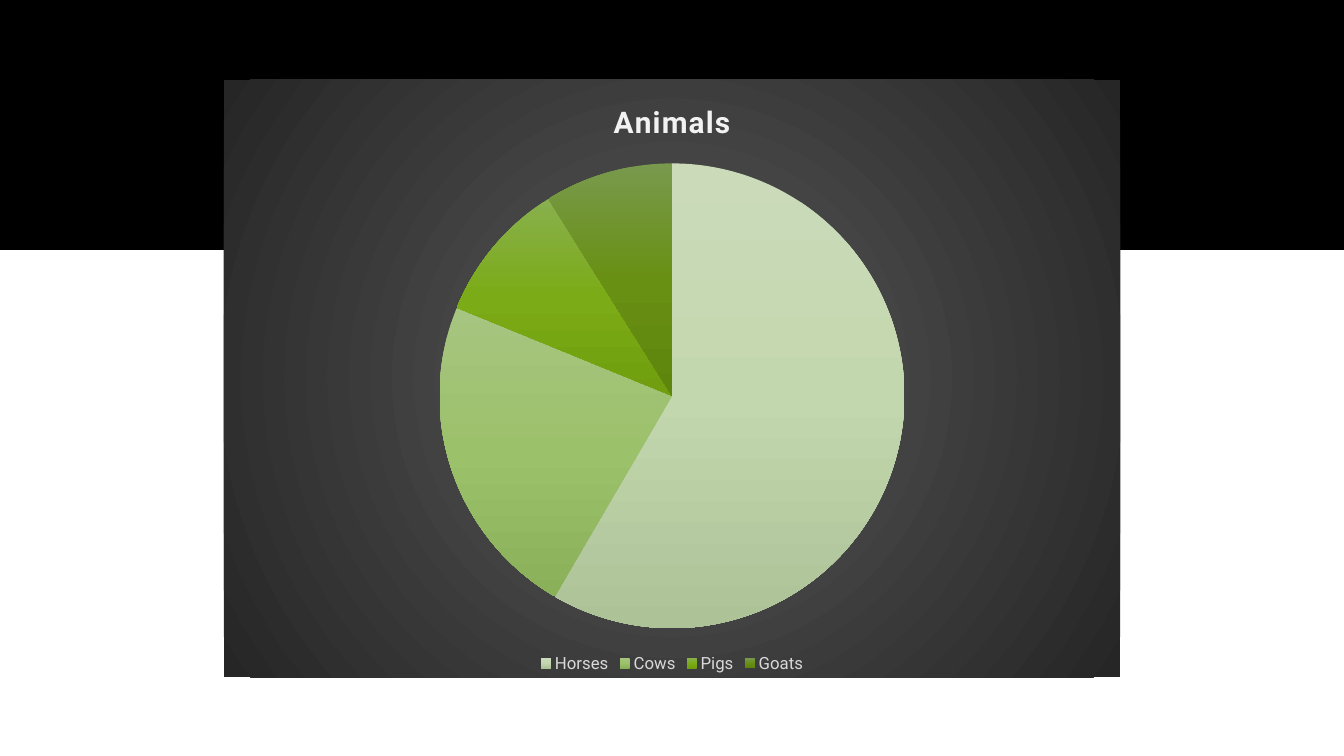
"""Build a slide with a pie chart of animals over a black band."""
from dataclasses import dataclass

from lxml import etree
from pptx import Presentation
from pptx.chart.chart import Chart
from pptx.chart.data import CategoryChartData
from pptx.dml.color import RGBColor
from pptx.enum.chart import XL_CHART_TYPE, XL_LEGEND_POSITION
from pptx.enum.shapes import MSO_SHAPE
from pptx.oxml import parse_xml
from pptx.oxml.ns import nsdecls, qn
from pptx.slide import Slide
from pptx.text.text import Font
from pptx.util import Inches, Pt

PIE = XL_CHART_TYPE.PIE
BOTTOM = XL_LEGEND_POSITION.BOTTOM
RECTANGLE = MSO_SHAPE.RECTANGLE
LINEAR_DOWN = '<a:lin ang="5400000" scaled="0"/>'
FROM_CENTRE = ('<a:path path="circle"><a:fillToRect l="50000" t="50000" '
               'r="50000" b="50000"/></a:path>')


@dataclass(frozen=True)
class Theme:
    """Colours and type sizes of the slide."""
    font: str = "Roboto"
    band: str = "000000"
    title: str = "F2F2F2"
    legend: str = "D9D9D9"
    panel: tuple[str, ...] = ("595959", "262626")
    base_size: float = 10
    title_size: float = 21.3
    legend_size: float = 12
    title_spacing: int = 100


@dataclass(frozen=True)
class Slice:
    """One pie slice with its gradient colours from top to bottom."""
    name: str
    value: int
    colours: tuple[str, ...]


THEME = Theme()
SERIES_NAME = "Animals"
SLICES = (
    Slice("Horses", 59, ("CBDBBA", "C3D7AE", "AEC298")),
    Slice("Cows", 23, ("A6C580", "9CC16B", "8BB05A")),
    Slice("Pigs", 10, ("89B04E", "7BAB16", "709E0E")),
    Slice("Goats", 9, ("79994D", "689013", "5E850C")),
)


def gradient(colours: tuple[str, ...], direction: str) -> etree._Element:
    """Return a gradient fill with evenly spaced stops."""
    step = 100000 // (len(colours) - 1)
    stops = "".join(
        f'<a:gs pos="{index * step}"><a:srgbClr val="{colour}"/></a:gs>'
        for index, colour in enumerate(colours))
    return parse_xml(f'<a:gradFill {nsdecls("a")} rotWithShape="1">'
                     f'<a:gsLst>{stops}</a:gsLst>{direction}</a:gradFill>')


def style_font(font: Font, size: float, colour: str, bold: bool = False) -> None:
    """Set typeface, size, colour and weight."""
    font.name = THEME.font
    font.size = Pt(size)
    font.color.rgb = RGBColor.from_string(colour)
    font.bold = bold


def add_band(slide: Slide) -> None:
    """Draw the black band across the top."""
    band = slide.shapes.add_shape(RECTANGLE, 0, 0, Inches(13.33), Inches(2.48))
    band.shadow.inherit = False
    band.fill.solid()
    band.fill.fore_color.rgb = RGBColor.from_string(THEME.band)
    band.line.fill.background()


def add_title(chart: Chart) -> None:
    """Write the chart title with wide letter spacing."""
    chart.has_title = True
    chart.chart_title.include_in_layout = False
    span = chart.chart_title.text_frame.paragraphs[0].add_run()
    span.text = SERIES_NAME
    style_font(span.font, THEME.title_size, THEME.title, bold=True)
    for properties in chart.element.iter(qn("a:rPr")):
        properties.set("spc", str(THEME.title_spacing))


def add_legend(chart: Chart) -> None:
    """Place the legend below the pie."""
    chart.has_legend = True
    chart.legend.position = BOTTOM
    chart.legend.include_in_layout = False
    style_font(chart.legend.font, THEME.legend_size, THEME.legend)


def fill_panel(chart: Chart) -> None:
    """Fill the chart area with a gradient from its centre."""
    panel = parse_xml(f'<c:spPr {nsdecls("c", "a")}><a:ln><a:noFill/></a:ln></c:spPr>')
    panel.insert(0, gradient(THEME.panel, FROM_CENTRE))
    chart.element.find(qn("c:chart")).addnext(panel)


def fill_slices(chart: Chart) -> None:
    """Give each slice its own gradient and no outline."""
    points = chart.plots[0].series[0].points
    for index in range(len(SLICES)):
        points[index].format.line.fill.background()
    for animal, point in zip(SLICES, chart.element.iter(qn("c:dPt"))):
        point.find(qn("c:spPr")).insert(0, gradient(animal.colours, LINEAR_DOWN))


def add_pie(slide: Slide) -> None:
    """Add the styled pie chart."""
    data = CategoryChartData()
    data.categories = [animal.name for animal in SLICES]
    data.add_series(SERIES_NAME, [animal.value for animal in SLICES])
    chart = slide.shapes.add_chart(
        PIE, Inches(2.22), Inches(0.79), Inches(8.89), Inches(5.93), data).chart
    style_font(chart.font, THEME.base_size, THEME.band)
    chart.plots[0].vary_by_categories = True
    add_title(chart)
    add_legend(chart)
    fill_panel(chart)
    fill_slices(chart)


def main() -> None:
    """Build and save the deck."""
    deck = Presentation()
    deck.slide_width = Inches(13.33)
    deck.slide_height = Inches(7.5)
    page = deck.slides.add_slide(deck.slide_layouts[6])
    add_band(page)
    add_pie(page)
    deck.save("out.pptx")


if __name__ == "__main__":
    main()
